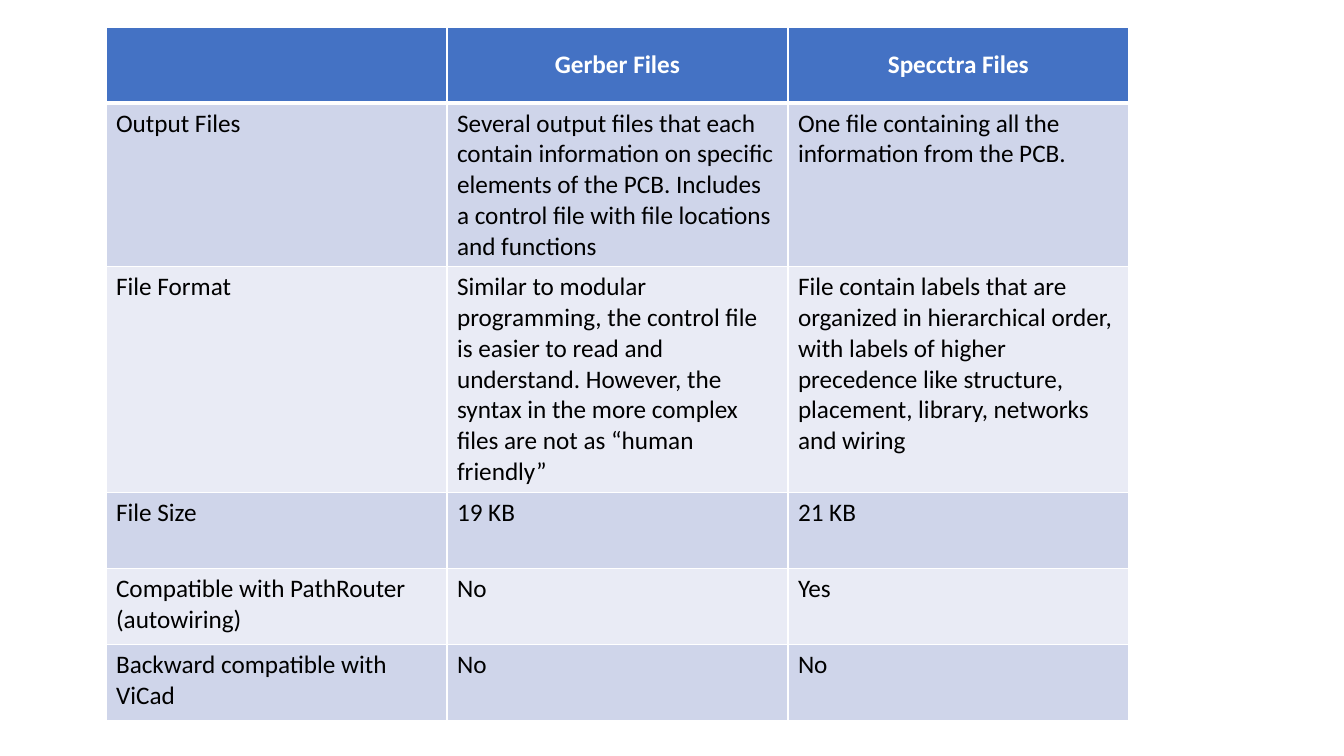
from lxml import etree
from pptx import Presentation
from pptx.dml.color import RGBColor
from pptx.enum.text import MSO_ANCHOR, PP_ALIGN
from pptx.oxml.ns import qn
from pptx.util import Pt

CENTER, LEFT = PP_ALIGN.CENTER, PP_ALIGN.LEFT
MIDDLE, TOP = MSO_ANCHOR.MIDDLE, MSO_ANCHOR.TOP

# 1344 x 756 px slide
SCALE = 12192000 / 1344
SLIDE_W, SLIDE_H = 1344, 756
TABLE_BOX = (106, 27, 1023, 456)

WHITE = RGBColor(0xFF, 0xFF, 0xFF)
BLACK = RGBColor(0x00, 0x00, 0x00)
HEADER_BLUE = RGBColor(0x44, 0x72, 0xC4)
BAND_DARK = RGBColor(0xCF, 0xD5, 0xEA)
BAND_LIGHT = RGBColor(0xE9, 0xEB, 0xF5)

ROWS = [
    ("", "Gerber Files", "Specctra Files"),
    ("Output Files",
     "Several output files that each contain information on specific elements "
     "of the PCB. Includes a control file with file locations and functions",
     "One file containing all the information from the PCB."),
    ("File Format",
     "Similar to modular programming, the control file is easier to read and "
     "understand. However, the syntax in the more complex files are not as "
     "“human friendly”",
     "File contain labels that are organized in hierarchical order, with labels "
     "of higher precedence like structure, placement, library, networks and wiring"),
    ("File Size", "19 KB", "21 KB"),
    ("Compatible with PathRouter (autowiring)", "No", "Yes"),
    ("Backward compatible with ViCad", "No", "No"),
]


def px(n):
    return round(n * SCALE)


def set_borders(cell, top, bottom):
    """White cell borders; widths in points, sides always 1 pt."""
    tc_pr = cell._tc.get_or_add_tcPr()
    sides = (("a:lnL", 1), ("a:lnR", 1), ("a:lnT", top), ("a:lnB", bottom))
    for i, (tag, width) in enumerate(sides):
        ln = etree.Element(qn(tag), w=str(Pt(width)))
        fill = etree.SubElement(ln, qn("a:solidFill"))
        etree.SubElement(fill, qn("a:srgbClr"), val=str(WHITE))
        tc_pr.insert(i, ln)


def format_cell(cell, text, row):
    header = row == 0
    cell.text = text
    cell.vertical_anchor = MIDDLE if header else TOP
    cell.fill.solid()
    band = BAND_DARK if row % 2 else BAND_LIGHT
    cell.fill.fore_color.rgb = HEADER_BLUE if header else band
    p = cell.text_frame.paragraphs[0]
    p.alignment = CENTER if header else LEFT
    p.font.name = "Calibri"
    p.font.size = Pt(18)
    p.font.bold = header
    p.font.color.rgb = WHITE if header else BLACK
    set_borders(cell, top=3 if row == 1 else 1, bottom=3 if header else 1)


def add_comparison_table(slide, box):
    x, y, w, h = box
    n_cols = len(ROWS[0])
    table = slide.shapes.add_table(len(ROWS), n_cols,
                                   px(x), px(y), px(w), px(h)).table
    for col in table.columns:
        col.width = px(w / n_cols)
    for r, texts in enumerate(ROWS):
        table.rows[r].height = px(h / len(ROWS))
        for c, text in enumerate(texts):
            format_cell(table.cell(r, c), text, r)


def main():
    prs = Presentation()
    prs.slide_width, prs.slide_height = px(SLIDE_W), px(SLIDE_H)
    slide = prs.slides.add_slide(prs.slide_layouts[6])
    add_comparison_table(slide, TABLE_BOX)
    prs.save("out.pptx")


if __name__ == "__main__":
    main()
